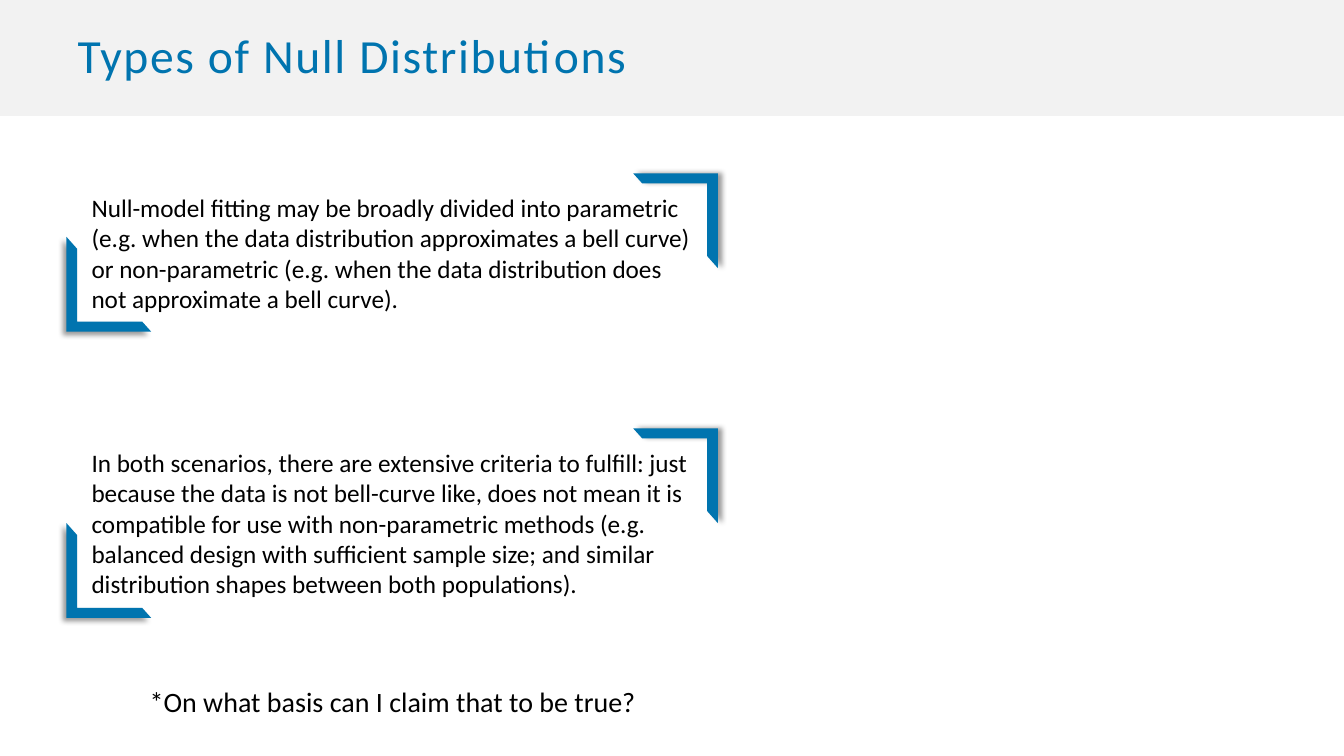
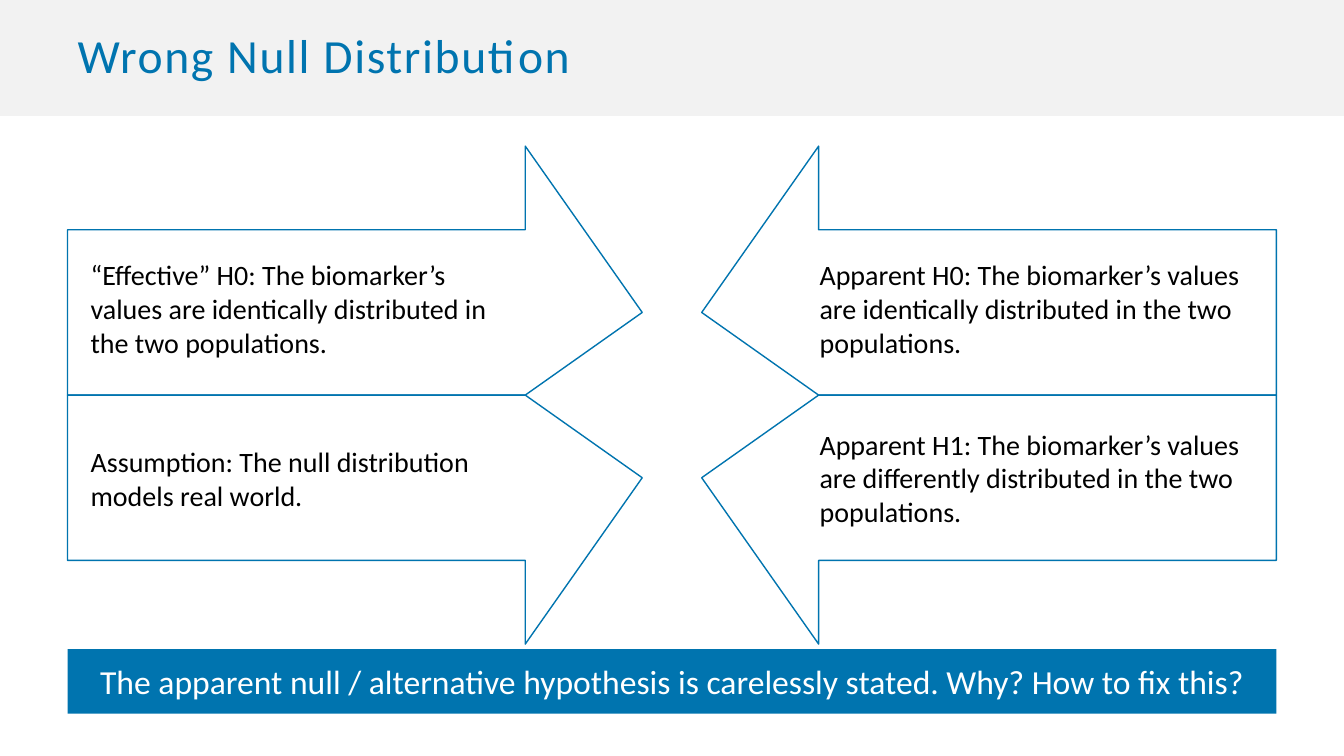
from pptx import Presentation
from pptx import util as u
from pptx.dml import color
from pptx.enum import shapes, text
from pptx.oxml import parse_xml
from pptx.oxml.ns import nsdecls, qn

BLUE, GREY, WHITE, BLACK = "0074AF", "F2F2F2", "FFFFFF", "000000"
FONT = "Calibri"
WIDTH, HEIGHT, MARGIN, BAND = 13.33, 7.5, 0.67, 1.15


def rgb(value):
    return color.RGBColor.from_string(value)


def inches(*values):
    return [u.Inches(value) for value in values]


class Deck:
    """Holds the shared style and the current slide."""

    def __init__(self):
        self.prs = Presentation()
        self.prs.slide_width, self.prs.slide_height = inches(WIDTH, HEIGHT)
        self.layout = self.prs.slide_layouts[5]
        self.slide = None

    def add_slide(self, heading):
        first = self.slide is None
        self.slide = self.prs.slides.add_slide(self.layout)
        if first:
            # The title band lives on the layout, behind everything
            band = self.rect(0, 0, WIDTH, BAND, GREY)
            self.layout.shapes._spTree.insert(2, band._element)
        title = self.slide.shapes.title
        title.left, title.top, title.width, title.height = inches(
            MARGIN, 0, WIDTH - 2 * MARGIN, BAND)
        self.set_text(title, heading, 34, BLUE, anchor=text.MSO_ANCHOR.MIDDLE)
        paragraph = title.text_frame.paragraphs[0]
        paragraph.line_spacing = 0.9
        paragraph.runs[0]._r.get_or_add_rPr().set("spc", "120")

    def set_text(self, shape, words, size, ink=BLACK, align=text.PP_ALIGN.LEFT,
                 anchor=text.MSO_ANCHOR.TOP, grow=False):
        frame = shape.text_frame
        frame.word_wrap = True
        frame.vertical_anchor = anchor
        frame.auto_size = (text.MSO_AUTO_SIZE.SHAPE_TO_FIT_TEXT if grow
                           else text.MSO_AUTO_SIZE.NONE)
        frame.text = words
        paragraph = frame.paragraphs[0]
        paragraph.alignment = align
        font = paragraph.font
        font.name, font.size = FONT, u.Pt(size)
        font.color.rgb = rgb(ink)

    def paint(self, shape, fill, line=None):
        shape.shadow.inherit = False
        shape.fill.solid()
        shape.fill.fore_color.rgb = rgb(fill)
        if line:
            shape.line.color.rgb = rgb(line)
            shape.line.width = u.Pt(1)
        else:
            shape.line.fill.background()

    def rect(self, left, top, width, height, fill, parent=None):
        shape = (parent or self.slide).shapes.add_shape(
            shapes.MSO_SHAPE.RECTANGLE, *inches(left, top, width, height))
        self.paint(shape, fill)
        return shape

    def panel(self, left, top, width, height, words, size, parent=None):
        shape = self.rect(left, top, width, height, WHITE, parent)
        self.set_text(shape, words, size, grow=True)

    def note(self, left, top, width, height, words):
        box = self.slide.shapes.add_textbox(*inches(left, top, width, height))
        self.set_text(box, words, 20, align=text.PP_ALIGN.CENTER, grow=True)

    def corner(self, parent, center_x, center_y, rotation, shadow_angle):
        width, height = 0.94, 0.84
        bracket = parent.shapes.add_shape(
            shapes.MSO_SHAPE.HALF_FRAME,
            *inches(center_x - width / 2, center_y - height / 2, width, height))
        bracket.adjustments[0], bracket.adjustments[1] = 0.126, 0.118
        bracket.rotation = rotation
        self.paint(bracket, BLUE)
        effects = bracket._element.spPr.find(qn("a:effectLst"))
        effects.append(parse_xml(
            f'<a:outerShdw {nsdecls("a")} blurRad="{u.Pt(4)}" dist="{u.Pt(3)}" '
            f'dir="{shadow_angle * 60000}" algn="ctr" rotWithShape="0">'
            f'<a:srgbClr val="{BLACK}"><a:alpha val="40000"/></a:srgbClr>'
            '</a:outerShdw>'))

    def bracketed(self, top, height, words):
        """A text panel held by a top-right and a bottom-left bracket."""
        group = self.slide.shapes.add_group_shape()
        self.corner(group, 6.7, top + 0.33, 90, 0)
        self.corner(group, 1.08, top + height - 0.35, 270, 135)
        self.panel(0.81, top, 6.16, height, words, 18, group)

    def half_arrow(self, points):
        points = [tuple(inches(*point)) for point in points]
        builder = self.slide.shapes.build_freeform(*points[0])
        builder.add_line_segments(points[1:], close=True)
        self.paint(builder.convert_to_shape(), WHITE, BLUE)

    def banner(self, top, height, words):
        bar = self.rect(MARGIN, top, WIDTH - 2 * MARGIN, height, BLUE)
        self.set_text(bar, words, 24, WHITE, text.PP_ALIGN.CENTER,
                      text.MSO_ANCHOR.MIDDLE)


def null_types(deck):
    deck.add_slide("Types of Null Distributions")
    deck.note(MARGIN, 6.74, 6.45, 0.44,
              "*On what basis can I claim that to be true?")
    deck.bracketed(
        1.86, 1.31,
        "Null-model fitting may be broadly divided into parametric (e.g. when "
        "the data distribution approximates a bell curve) or non-parametric "
        "(e.g. when the data distribution does not approximate a bell curve).")
    deck.bracketed(
        4.39, 1.62,
        "In both scenarios, there are extensive criteria to fulfill: just "
        "because the data is not bell-curve like, does not mean it is "
        "compatible for use with non-parametric methods (e.g. balanced design "
        "with sufficient sample size; and similar distribution shapes between "
        "both populations).")


def wrong_null(deck):
    deck.add_slide("Wrong Null Distribution")

    # Four half arrows: the top-left one mirrored across both axes
    middle = 3.92
    outline = [(5.21, middle), (MARGIN, middle), (MARGIN, 2.28),
               (5.21, 2.28), (5.21, 1.45), (6.37, 3.1)]
    for lower in (False, True):
        for right in (False, True):
            deck.half_arrow([(WIDTH - x if right else x,
                              2 * middle - y if lower else y)
                             for x, y in outline])

    # Statements inside the arrows
    statements = [
        (0.8, 2.51, 1.11, "“Effective” H0: The biomarker’s values are "
                          "identically distributed in the two populations."),
        (0.8, 4.36, 0.77, "Assumption: The null distribution models real world."),
        (8.03, 2.51, 1.11, "Apparent H0: The biomarker’s values are "
                           "identically distributed in the two populations."),
        (8.03, 4.19, 1.11, "Apparent H1: The biomarker’s values are "
                           "differently distributed in the two populations."),
    ]
    for left, top, height, words in statements:
        deck.panel(left, top, 4.45, height, words, 20)

    deck.banner(6.44, 0.64, "The apparent null / alternative hypothesis is "
                            "carelessly stated. Why? How to fix this?")


def main():
    deck = Deck()
    null_types(deck)
    wrong_null(deck)
    deck.prs.save("out.pptx")


if __name__ == "__main__":
    main()
